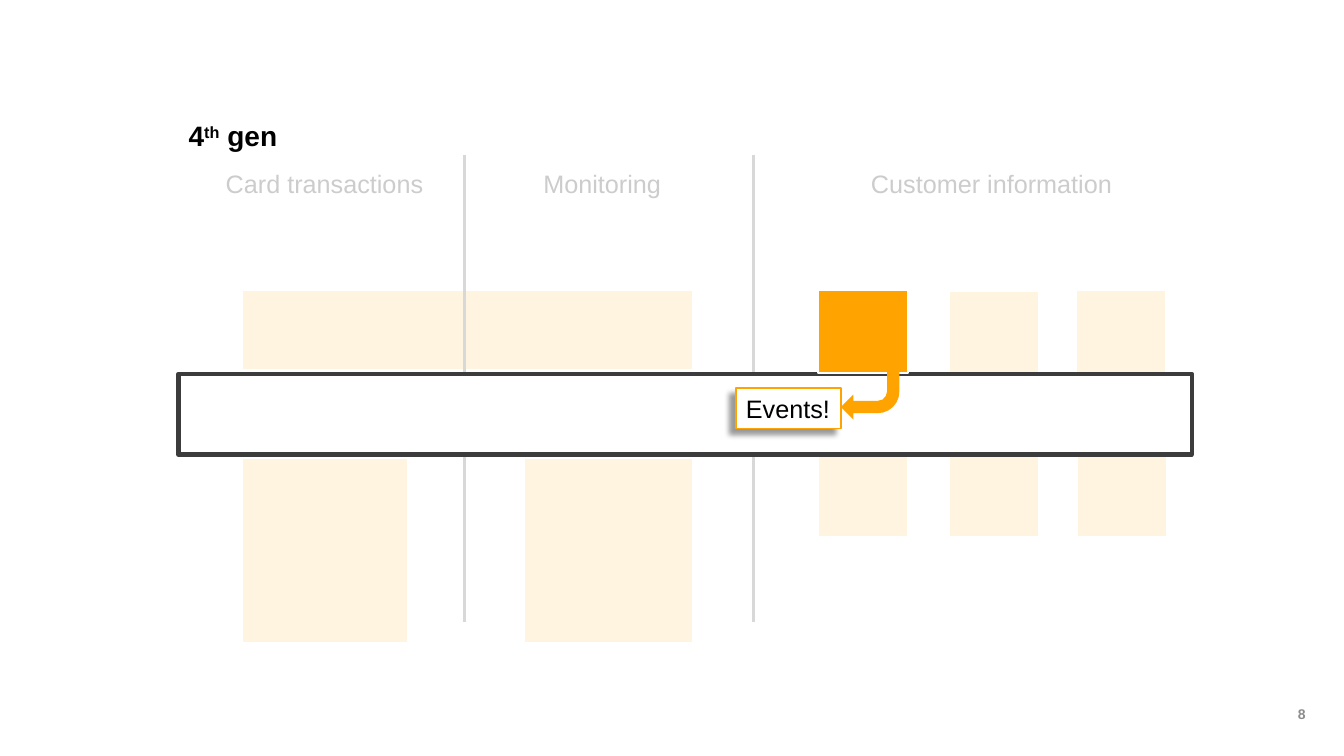
from typing import NamedTuple, Optional

from pptx import Presentation
from pptx.dml.color import RGBColor
from pptx.enum.shapes import MSO_CONNECTOR, MSO_SHAPE
from pptx.enum.text import MSO_ANCHOR, MSO_AUTO_SIZE, PP_ALIGN
from pptx.oxml import parse_xml
from pptx.oxml.ns import nsdecls, qn
from pptx.oxml.xmlchemy import OxmlElement
from pptx.util import Inches, Pt

COLORS = {
    "white": "FFFFFF",
    "black": "000000",
    "dark": "3C3C3C",
    "gray": "8C8C8C",
    "orange": "FEA300",
    "pale_orange": "FFC865",
}
FONT = "Arial"


class Box(NamedTuple):
    left: float
    top: float
    width: float
    height: float
    fill: str = "pale_orange"
    line: Optional[str] = "white"
    line_width: float = 1.5


class Label(NamedTuple):
    text: str
    left: float
    width: float


SMALL_WIDTH, SMALL_HEIGHT = 0.9, 0.82
UPPER_TOP, LOWER_TOP = 2.88, 4.51

SYSTEMS = [
    Box(2.4, 4.54, 1.65, 1.84),
    Box(5.2, 4.54, 1.67, 1.84),
    Box(2.4, UPPER_TOP, 4.47, 0.79),
    Box(9.41, 2.89, SMALL_WIDTH, SMALL_HEIGHT),
    Box(10.67, UPPER_TOP, SMALL_WIDTH, SMALL_HEIGHT),
] + [Box(left, LOWER_TOP, SMALL_WIDTH, SMALL_HEIGHT) for left in (8.11, 9.41, 10.68)]
DOMAINS = [
    Label("Card transactions", 2.14, 2.18),
    Label("Customer information", 8.54, 2.61),
    Label("Monitoring", 5.29, 1.38),
]
DIVIDERS = [4.61, 7.47]
VEIL = Box(1.41, 1.41, 10.63, 5.26, "white", None)
PLATFORM = Box(1.77, 3.71, 10.05, 0.8, "white", "dark", 3)
EVENT_SOURCE = Box(8.11, UPPER_TOP, SMALL_WIDTH, SMALL_HEIGHT, "orange")
EVENT_ARROW = Box(8.34, 3.67, 0.58, 0.49, "orange", None)
EVENT_TAG = Box(7.3, 3.85, 1.04, 0.4, "white", "orange", 1)


def color(name: str) -> RGBColor:
    return RGBColor.from_string(COLORS[name])


def add_box(slide, box: Box, preset=MSO_SHAPE.RECTANGLE):
    shape = slide.shapes.add_shape(
        preset, Inches(box.left), Inches(box.top), Inches(box.width), Inches(box.height)
    )
    shape.shadow.inherit = False
    shape.fill.solid()
    shape.fill.fore_color.rgb = color(box.fill)
    if box.line:
        shape.line.color.rgb = color(box.line)
        shape.line.width = Pt(box.line_width)
    else:
        shape.line.fill.background()
    return shape


def format_paragraph(paragraph, size: float, ink: str = "black",
                     bold: bool = False, align=PP_ALIGN.LEFT) -> None:
    paragraph.alignment = align
    paragraph.font.name = FONT
    paragraph.font.size = Pt(size)
    paragraph.font.bold = bold
    paragraph.font.color.rgb = color(ink)


def fit_to_text(text_frame) -> None:
    text_frame.word_wrap = False
    text_frame.auto_size = MSO_AUTO_SIZE.SHAPE_TO_FIT_TEXT
    text_frame.vertical_anchor = MSO_ANCHOR.TOP


def add_label(slide, label: Label) -> None:
    text_box = slide.shapes.add_textbox(
        Inches(label.left), Inches(1.62), Inches(label.width), Inches(0.4)
    )
    text_box.text_frame.text = label.text
    fit_to_text(text_box.text_frame)
    format_paragraph(text_box.text_frame.paragraphs[0], 18)


def add_divider(slide, x: float) -> None:
    divider = slide.shapes.add_connector(
        MSO_CONNECTOR.STRAIGHT, Inches(x), Inches(1.54), Inches(x), Inches(6.17)
    )
    divider.line.color.rgb = color("dark")
    divider.line.width = Pt(2.25)
    divider._element.spPr.append(OxmlElement("a:effectLst"))


def add_veil(slide) -> None:
    veil = add_box(slide, VEIL)
    alpha = OxmlElement("a:alpha")
    alpha.set("val", "80000")
    veil._element.spPr.find(qn("a:solidFill"))[0].append(alpha)


def add_title(slide) -> None:
    title = slide.shapes.title
    title.left, title.top = Inches(1.77), Inches(1.13)
    title.width, title.height = Inches(1.11), Inches(0.44)
    paragraph = title.text_frame.paragraphs[0]
    for text in ("4", "th", " gen"):
        paragraph.add_run().text = text
    paragraph.runs[1].font._element.set("baseline", "30000")
    fit_to_text(title.text_frame)
    format_paragraph(paragraph, 20, bold=True)
    # Bring the title in front of the veil
    slide.shapes._spTree.append(title._element)


def add_event_tag(slide) -> None:
    tag = add_box(slide, EVENT_TAG)
    tag.text_frame.text = "Events!"
    fit_to_text(tag.text_frame)
    format_paragraph(tag.text_frame.paragraphs[0], 18)
    tag._element.spPr.find(qn("a:effectLst")).append(parse_xml(
        f'<a:outerShdw {nsdecls("a")} blurRad="{Pt(4)}" dist="{Pt(6)}" '
        f'dir="{135 * 60000}" algn="tr" rotWithShape="0">'
        f'<a:srgbClr val="{COLORS["black"]}"><a:alpha val="40000"/></a:srgbClr>'
        "</a:outerShdw>"
    ))


def add_page_number(slide) -> None:
    text_box = slide.shapes.add_textbox(
        Inches(12.49), Inches(6.66), Inches(0.84), Inches(0.84)
    )
    text_frame = text_box.text_frame
    text_frame.text = "8"
    text_frame.word_wrap = True
    text_frame.vertical_anchor = MSO_ANCHOR.MIDDLE
    format_paragraph(text_frame.paragraphs[0], 10, "gray", True, PP_ALIGN.CENTER)


def main() -> None:
    presentation = Presentation()
    presentation.slide_width = Inches(13.33)
    presentation.slide_height = Inches(7.5)
    slide = presentation.slides.add_slide(presentation.slide_layouts[5])
    add_page_number(slide)

    # Earlier architecture
    for system in SYSTEMS:
        add_box(slide, system)
    for x in DIVIDERS:
        add_divider(slide, x)
    for domain in DOMAINS:
        add_label(slide, domain)

    # Veil over it, with the shared platform on top
    add_veil(slide)
    add_box(slide, PLATFORM)
    add_title(slide)

    # Event flow into the platform
    add_box(slide, EVENT_SOURCE)
    add_box(slide, EVENT_ARROW, MSO_SHAPE.BENT_ARROW).rotation = 180
    add_event_tag(slide)

    presentation.save("out.pptx")


if __name__ == "__main__":
    main()
